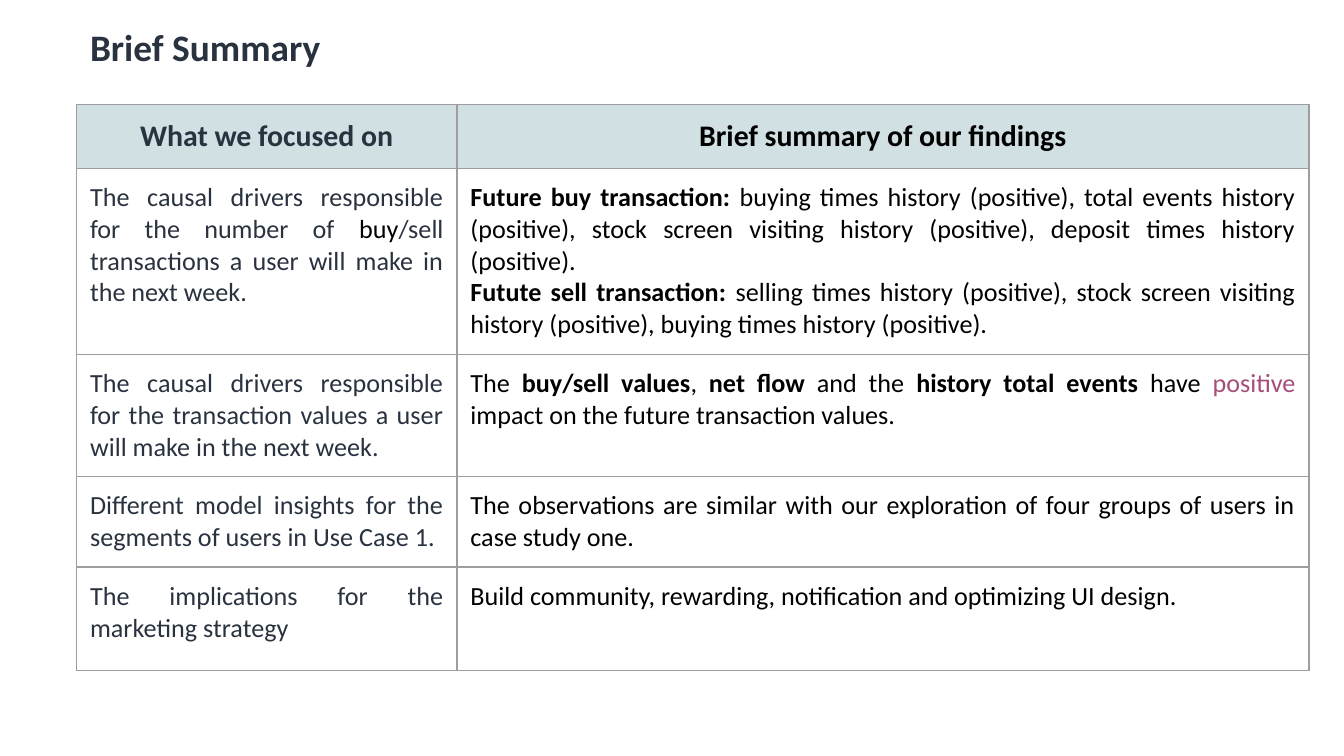
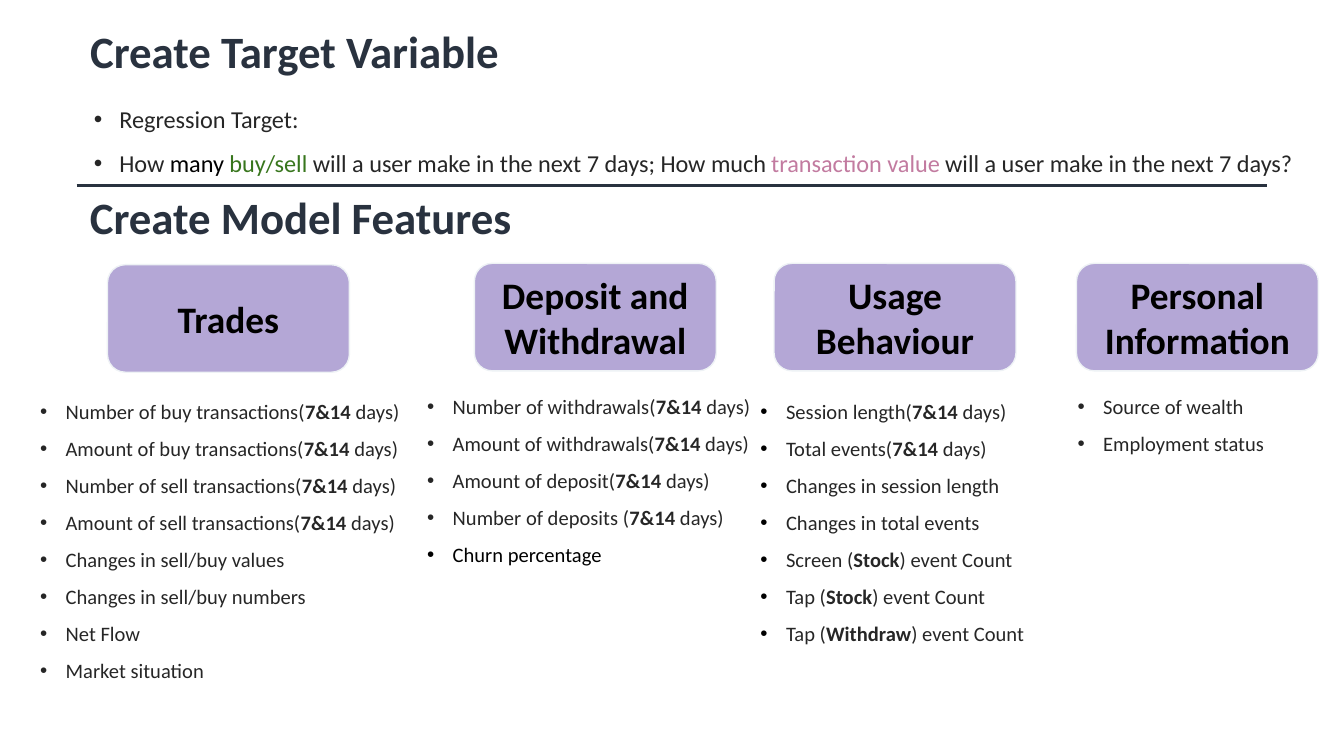
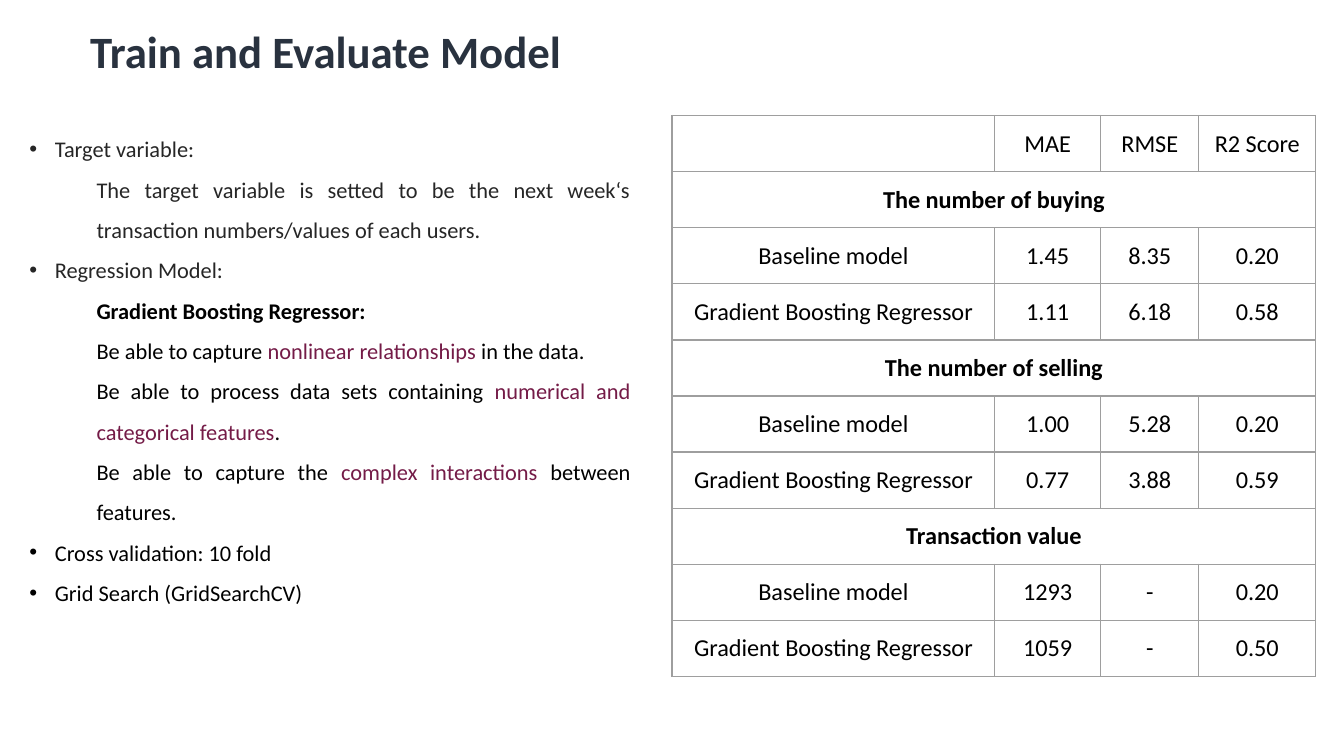
import dataclasses
import typing

import pptx
import pptx.dml.color
import pptx.enum.shapes
import pptx.enum.text
import pptx.oxml.ns
import pptx.util
from lxml import etree

Inches = pptx.util.Inches
Pt = pptx.util.Pt
ALIGN = pptx.enum.text.PP_ALIGN
ANCHOR = pptx.enum.text.MSO_ANCHOR


@dataclasses.dataclass(frozen=True)
class Theme:
    font: str = "Calibri"
    navy: str = "29323F"
    black: str = "000000"
    body: str = "262626"
    grid: str = "9E9E9E"
    header_fill: str = "D0E0E3"
    card_fill: str = "B4A7D6"
    card_line: str = "EEF2F5"
    green: str = "38761D"
    pink: str = "C27BA0"
    rose: str = "A64D79"
    plum: str = "741B47"
    heading_size: int = 24
    card_size: int = 20
    summary_title_size: int = 20
    summary_header_size: int = 16
    summary_size: int = 14
    target_size: int = 13
    score_size: int = 13
    model_size: int = 12
    feature_size: int = 11


THEME = Theme()


class Run(typing.NamedTuple):
    text: str
    color: str = THEME.body
    bold: bool = False


def rgb(value):
    return pptx.dml.color.RGBColor.from_string(value)


def add_element(parent, tag, **attributes):
    return etree.SubElement(parent, pptx.oxml.ns.qn(tag), **attributes)


def black(text, bold=False):
    return Run(text, THEME.black, bold)


def navy(text, bold=False):
    return Run(text, THEME.navy, bold)


def emphasised(before, strong, after):
    return [Run(before), Run(strong, bold=True), Run(after)]


def over_days(measure):
    return emphasised(measure + "(", "7&14", " days)")


def add_runs(paragraph, runs, size, align):
    paragraph.alignment = align
    for part in runs:
        run = paragraph.add_run()
        run.text = part.text
        run.font.name = THEME.font
        run.font.size = Pt(size)
        run.font.bold = part.bold
        run.font.color.rgb = rgb(part.color)


def fill_frame(frame, paragraphs, size, align):
    for index, runs in enumerate(paragraphs):
        paragraph = frame.add_paragraph() if index else frame.paragraphs[0]
        add_runs(paragraph, runs, size, align)


def set_bullet(paragraph, color):
    properties = paragraph._p.get_or_add_pPr()
    properties.set("marL", str(Inches(0.19)))
    properties.set("indent", str(-Inches(0.19)))
    add_element(add_element(properties, "a:buClr"), "a:srgbClr", val=color)
    add_element(properties, "a:buFont", typeface="Arial")
    add_element(properties, "a:buChar", char="•")


def add_title_slide(deck, text, width, height=0.56, size=THEME.heading_size, align=ALIGN.LEFT):
    slide = deck.slides.add_slide(deck.slide_layouts[5])
    title = slide.shapes.title
    title.left, title.top = Inches(0.57), Inches(0.13)
    title.width, title.height = Inches(width), Inches(height)
    frame = title.text_frame
    frame.word_wrap = True
    frame.auto_size = pptx.enum.text.MSO_AUTO_SIZE.NONE
    frame.vertical_anchor = ANCHOR.TOP
    fill_frame(frame, [[navy(text, True)]], size, align)
    return slide


def add_text(slide, box, paragraphs, size, align=ALIGN.LEFT):
    frame = slide.shapes.add_textbox(*map(Inches, box)).text_frame
    frame.word_wrap = True
    fill_frame(frame, paragraphs, size, align)
    return frame


def add_list(slide, box, items, size, align=ALIGN.LEFT, bullet_color=None, details=()):
    frame = add_text(slide, box, items, size, align)
    for index, paragraph in enumerate(frame.paragraphs):
        paragraph.line_spacing = 1.5
        if index in details:
            properties = paragraph._p.get_or_add_pPr()
            properties.set("marL", str(Inches(0.5)))
            properties.set("indent", "0")
        else:
            set_bullet(paragraph, bullet_color or items[index][0].color)


def add_card(slide, left, top, label):
    card = slide.shapes.add_shape(
        pptx.enum.shapes.MSO_SHAPE.ROUNDED_RECTANGLE,
        Inches(left), Inches(top), Inches(1.8), Inches(0.8))
    card.shadow.inherit = False
    card.fill.solid()
    card.fill.fore_color.rgb = rgb(THEME.card_fill)
    card.line.color.rgb = rgb(THEME.card_line)
    card.line.width = Pt(0.75)
    frame = card.text_frame
    frame.word_wrap = True
    frame.vertical_anchor = ANCHOR.MIDDLE
    frame.margin_left = frame.margin_right = Inches(0.1)
    frame.margin_top = frame.margin_bottom = Inches(0.1)
    fill_frame(frame, [[black(label, True)]], THEME.card_size, ALIGN.CENTER)


def add_divider(slide, left, right, y):
    divider = slide.shapes.add_connector(
        pptx.enum.shapes.MSO_CONNECTOR.STRAIGHT,
        Inches(left), Inches(y), Inches(right), Inches(y))
    divider.line.color.rgb = rgb(THEME.navy)
    divider.line.width = Pt(1.5)
    add_element(divider._element.spPr, "a:effectLst")


def add_grid(slide, box, widths, heights):
    frame = slide.shapes.add_table(len(heights), len(widths), *map(Inches, box))
    grid = frame.table
    grid.first_row = grid.horz_banding = False
    for column, width in zip(grid.columns, widths):
        column.width = Inches(width)
    for row, height in zip(grid.rows, heights):
        row.height = Inches(height)
    frame.height = Inches(box[3])
    for cell in grid.iter_cells():
        cell.margin_left = cell.margin_right = Inches(0.1)
        cell.margin_top = cell.margin_bottom = Inches(0.1)
        properties = cell._tc.get_or_add_tcPr()
        for side in ("a:lnL", "a:lnR", "a:lnT", "a:lnB"):
            border = add_element(properties, side, w=str(Pt(0.75)))
            add_element(add_element(border, "a:solidFill"), "a:srgbClr", val=THEME.grid)
        cell.fill.background()
    return grid


def build_summary(deck):
    slide = add_title_slide(deck, "Brief Summary", 8.73, 0.47,
                            THEME.summary_title_size, ALIGN.JUSTIFY)
    grid = add_grid(slide, (0.57, 0.78, 9.17, 4.17), (2.83, 6.34),
                    (0.41, 0.99, 0.79, 0.58, 0.77))
    headers = [navy("What we focused on", True), black("Brief summary of our findings", True)]
    for column, header in enumerate(headers):
        cell = grid.cell(0, column)
        cell.fill.solid()
        cell.fill.fore_color.rgb = rgb(THEME.header_fill)
        fill_frame(cell.text_frame, [[header]], THEME.summary_header_size, ALIGN.CENTER)
    findings = [
        ([navy("The causal drivers responsible for the number of "), black("buy"),
          navy("/sell transactions a user will make in the next week.")],
         [[black("Future buy transaction:", True),
           black(" buying times history (positive), total events history (positive), "
                 "stock screen visiting history (positive), deposit times history (positive).")],
          [black("Futute sell transaction: ", True),
           black("selling times history (positive), stock screen visiting history (positive), "
                 "buying times history (positive).")]]),
        ([navy("The causal drivers responsible for the transaction values a user will make "
               "in the next week.")],
         [[black("The "), black("buy/sell values", True), black(","), black(" net flow ", True),
           black("and the "), black("history total events ", True), black("have "),
           Run("positive", THEME.rose), black(" impact on the future transaction values.")]]),
        ([navy("Different model insights for the segments of users in Use Case 1.")],
         [[black("The observations are similar with our exploration of four groups of users "
                 "in case study one.")]]),
        ([navy("The implications for the marketing strategy ")],
         [[black("Build community, rewarding, notification and optimizing UI design.")]]),
    ]
    for row, (focus, finding) in enumerate(findings, 1):
        for column, paragraphs in enumerate(([focus], finding)):
            fill_frame(grid.cell(row, column).text_frame, paragraphs,
                       THEME.summary_size, ALIGN.JUSTIFY)


def build_features(deck):
    slide = add_title_slide(deck, "Create Target Variable", 4.99)
    add_divider(slide, 0.57, 9.43, 1.38)
    add_list(slide, (0.6, 0.62, 9.29, 0.68), [
        [Run("Regression Target:")],
        [Run("How "), black("many "), Run("buy/sell", THEME.green),
         Run(" will a user make in the next 7 days; How much "),
         Run("transaction value", THEME.pink),
         Run(" will a user make in the next 7 days?")],
    ], THEME.target_size)
    add_text(slide, (0.57, 1.36, 4.43, 0.56), [[navy("Create Model Features", True)]],
             THEME.heading_size)

    cards = [(0.8, 1.97, "Trades"), (3.53, 1.96, "Deposit and Withdrawal"),
             (5.76, 1.96, "Usage Behaviour"), (8.01, 1.96, "Personal Information")]
    for left, top, label in cards:
        add_card(slide, left, top, label)

    trades = [over_days(f"{measure} of {side} transactions")
              for side in ("buy", "sell") for measure in ("Number", "Amount")]
    trades += [[Run(text)] for text in (
        "Changes in sell/buy values", "Changes in sell/buy numbers",
        "Net Flow", "Market situation")]
    deposits = [over_days(measure) for measure in (
        "Number of withdrawals", "Amount of withdrawals",
        "Amount of deposit", "Number of deposits ")]
    deposits.append([black("Churn percentage")])
    usage = [over_days("Session length"), over_days("Total events"),
             [Run("Changes in session length")], [Run("Changes in total events")]]
    usage += [emphasised(f"{action} (", target, ") event Count") for action, target in (
        ("Screen", "Stock"), ("Tap", "Stock"), ("Tap", "Withdraw"))]
    personal = [[Run("Source of wealth")], [Run("Employment status")]]

    size = THEME.feature_size
    add_list(slide, (0.2, 2.83, 3, 2.69), trades, size)
    add_list(slide, (7.92, 2.79, 1.97, 1), personal, size, ALIGN.JUSTIFY)
    add_list(slide, (3.08, 2.79, 2.7, 2.76), deposits, size)
    add_list(slide, (5.56, 2.83, 2.19, 2.69), usage, size, bullet_color=THEME.black)


def build_evaluation(deck):
    slide = add_title_slide(deck, "Train and Evaluate Model", 4.33)
    add_list(slide, (0.12, 0.86, 4.67, 3.75), [
        [Run("Target variable: ")],
        [Run("The target variable is setted to be the next week‘s transaction "
             "numbers/values of each users.")],
        [Run("Regression Model:")],
        [black("Gradient Boosting Regressor:", True)],
        [black("Be able to capture "), Run("nonlinear relationships", THEME.plum),
         black(" in the data.")],
        [black("Be able to process data sets containing "),
         Run("numerical and categorical features", THEME.plum), black(".")],
        [black("Be able to capture the "), Run("complex interactions", THEME.plum),
         black(" between features.")],
        [black("Cross validation: 10 fold")],
        [black("Grid Search (GridSearchCV)")],
    ], THEME.model_size, ALIGN.JUSTIFY, details=(1, 3, 4, 5, 6))

    baseline, boosting = "Baseline model", "Gradient Boosting Regressor"
    scores = [
        ("", "MAE", "RMSE", "R2 Score"),
        ("The number of buying",),
        (baseline, "1.45", "8.35", "0.20"),
        (boosting, "1.11", "6.18", "0.58"),
        ("The number of selling",),
        (baseline, "1.00", "5.28", "0.20"),
        (boosting, "0.77", "3.88", "0.59"),
        ("Transaction value",),
        (baseline, "1293", "-", "0.20"),
        (boosting, "1059", "-", "0.50"),
    ]
    widths = (2.4, 0.79, 0.73, 0.87)
    grid = add_grid(slide, (5, 0.86, 4.79, 4.17), widths, [0.39] * len(scores))
    for row, values in enumerate(scores):
        is_section = len(values) == 1
        if is_section:
            grid.cell(row, 0).merge(grid.cell(row, len(widths) - 1))
        for column in range(len(widths)):
            frame = grid.cell(row, column).text_frame
            text = values[column] if column < len(values) else ""
            if text:
                fill_frame(frame, [[black(text, is_section)]], THEME.score_size, ALIGN.CENTER)
            else:
                add_element(frame.paragraphs[0]._p, "a:endParaRPr",
                            sz=str(THEME.score_size * 100))


def main():
    deck = pptx.Presentation()
    deck.slide_width = Inches(10)
    deck.slide_height = deck.slide_width * 9 // 16
    build_summary(deck)
    build_features(deck)
    build_evaluation(deck)
    deck.save("out.pptx")


if __name__ == "__main__":
    main()
